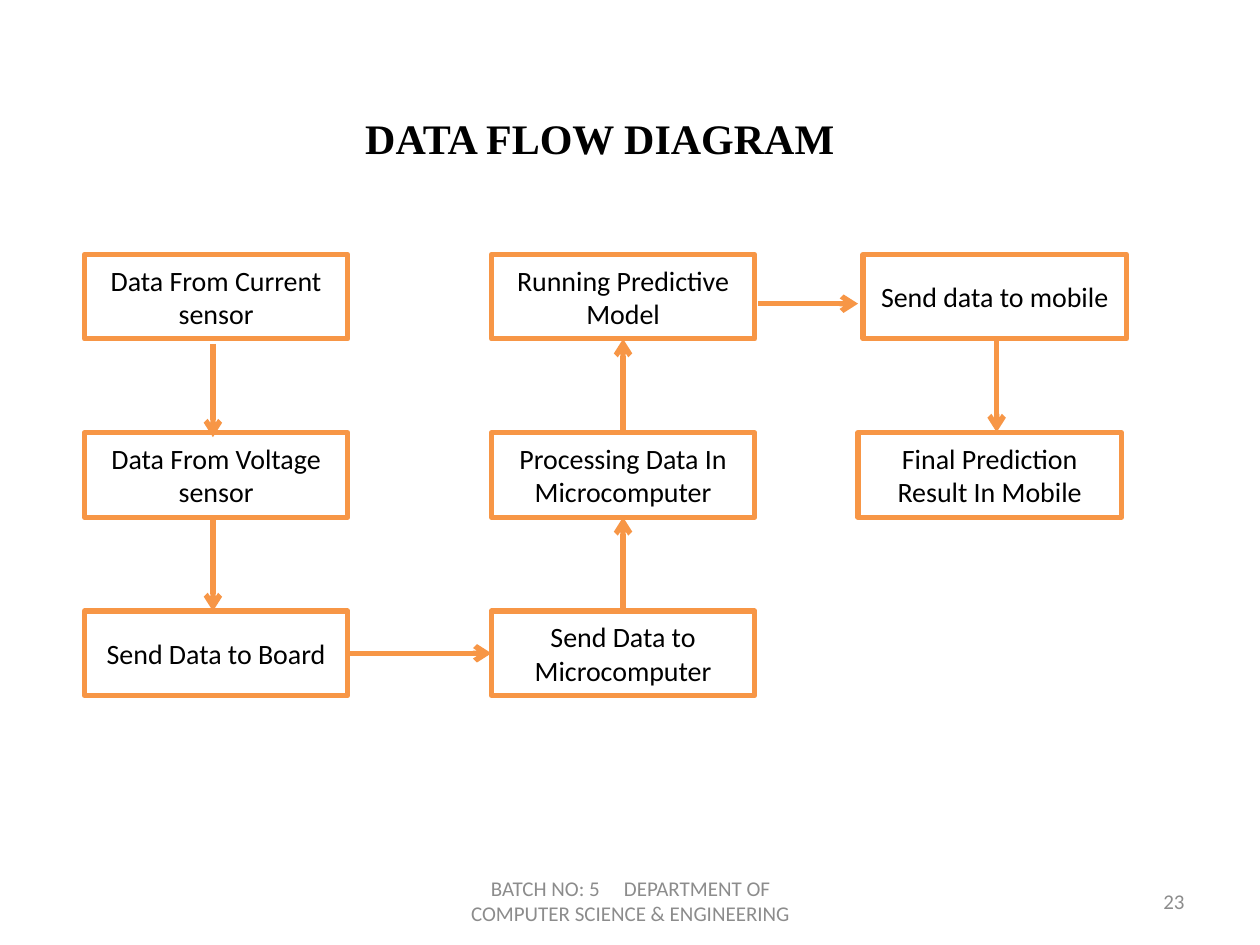
from lxml import etree
from pptx import Presentation
from pptx.dml.color import RGBColor
from pptx.enum import shapes, text
from pptx.oxml import ns
from pptx.util import Inches, Pt

ORANGE = RGBColor(0xF7, 0x96, 0x46)
BLACK = RGBColor(0, 0, 0)
GRAY = RGBColor(0x8C, 0x8C, 0x8C)
TOP, LEFT, BOTTOM, RIGHT = range(4)
GRID_COLUMNS, GRID_ROWS = 100, 75
BOX_SIZE = (20.9, 6.7)
FIRST_ROW, ROW_STEP = 20.2, 14.15

STEPS = {
    "current": (6.7, 0, "Data From Current sensor"),
    "voltage": (6.7, 1, "Data From Voltage sensor"),
    "controller": (6.7, 2, "Send Data to Board"),
    "computer": (39, 2, "Send Data to Microcomputer"),
    "processing": (39, 1, "Processing Data In Microcomputer"),
    "model": (39, 0, "Running Predictive Model"),
    "mobile": (68.5, 0, "Send data to mobile"),
    "result": (68.1, 1, "Final Prediction Result In Mobile"),
}
JOINED_ARROWS = [
    ("controller", RIGHT, "computer", LEFT),
    ("computer", TOP, "processing", BOTTOM),
    ("processing", TOP, "model", BOTTOM),
]
FREE_ARROWS = [
    (16.9, 27.3, 16.9, 34.7),
    (16.9, 41.1, 16.9, 48.5),
    (79.1, 26.9, 79.1, 34.3),
    (60.2, 24.1, 68.1, 24.1),
]


def write(shape, *pieces, size=16, color=BLACK, font="Calibri", bold=False,
          align=text.PP_ALIGN.CENTER, gap=0):
    frame = shape.text_frame
    frame.word_wrap = True
    frame.vertical_anchor = text.MSO_ANCHOR.MIDDLE
    para = frame.paragraphs[0]
    para.alignment = align
    for index, piece in enumerate(pieces):
        if index:
            spacer = para.add_run()
            spacer.text = " "
            spacer.font.size = Pt(size)
            spacer.font.name = font
            spacer._r.get_or_add_rPr().set("spc", str(gap * 100))
        span = para.add_run()
        span.text = piece
        span.font.size = Pt(size)
        span.font.name = font
        span.font.bold = bold
        span.font.color.rgb = color


class FlowPage:
    def __init__(self, deck, line_color=ORANGE, line_width=3):
        self.page = deck.slides.add_slide(deck.slide_layouts[6])
        self.column = deck.slide_width / GRID_COLUMNS
        self.row = deck.slide_height / GRID_ROWS
        self.line_color = line_color
        self.line_width = Pt(line_width)

    def place(self, *lengths):
        units = (self.column, self.row)
        return [round(length * units[i % 2]) for i, length in enumerate(lengths)]

    def style_line(self, line):
        line.color.rgb = self.line_color
        line.width = self.line_width

    def label(self, area, *pieces, **style):
        box = self.page.shapes.add_textbox(*self.place(*area))
        write(box, *pieces, **style)

    def step(self, left, level, caption):
        area = self.place(left, FIRST_ROW + level * ROW_STEP, *BOX_SIZE)
        box = self.page.shapes.add_shape(shapes.MSO_SHAPE.RECTANGLE, *area)
        box.shadow.inherit = False
        box.fill.background()
        self.style_line(box.line)
        write(box, caption)
        return box

    def arrow(self, *ends):
        link = self.page.shapes.add_connector(
            shapes.MSO_CONNECTOR.STRAIGHT, *self.place(*ends))
        self.style_line(link.line)
        properties = link._element.spPr
        etree.SubElement(link.line._get_or_add_ln(), ns.qn("a:tailEnd"), type="arrow")
        etree.SubElement(properties, ns.qn("a:effectLst"))
        return link

    def join(self, start, start_side, end, end_side):
        link = self.arrow(0, 0, 0, 0)
        link.begin_connect(start, start_side)
        link.end_connect(end, end_side)


def main():
    deck = Presentation()
    deck.slide_width, deck.slide_height = Inches(10), Inches(7.5)
    flow = FlowPage(deck)
    flow.label((5.1, 2.1, 85, 17.6), "DATA FLOW DIAGRAM",
               size=24, font="Times New Roman", bold=True)
    flow.label((34.2, 69.5, 31.7, 4), "BATCH NO: 5",
               "DEPARTMENT OF COMPUTER SCIENCE & ENGINEERING",
               size=12, color=GRAY, gap=11)
    flow.label((71.7, 69.5, 23.3, 4), "23", size=12, color=GRAY,
               align=text.PP_ALIGN.RIGHT)
    boxes = {name: flow.step(*step) for name, step in STEPS.items()}
    for start, start_side, end, end_side in JOINED_ARROWS:
        flow.join(boxes[start], start_side, boxes[end], end_side)
    for ends in FREE_ARROWS:
        flow.arrow(*ends)
    deck.save("out.pptx")


if __name__ == "__main__":
    main()
